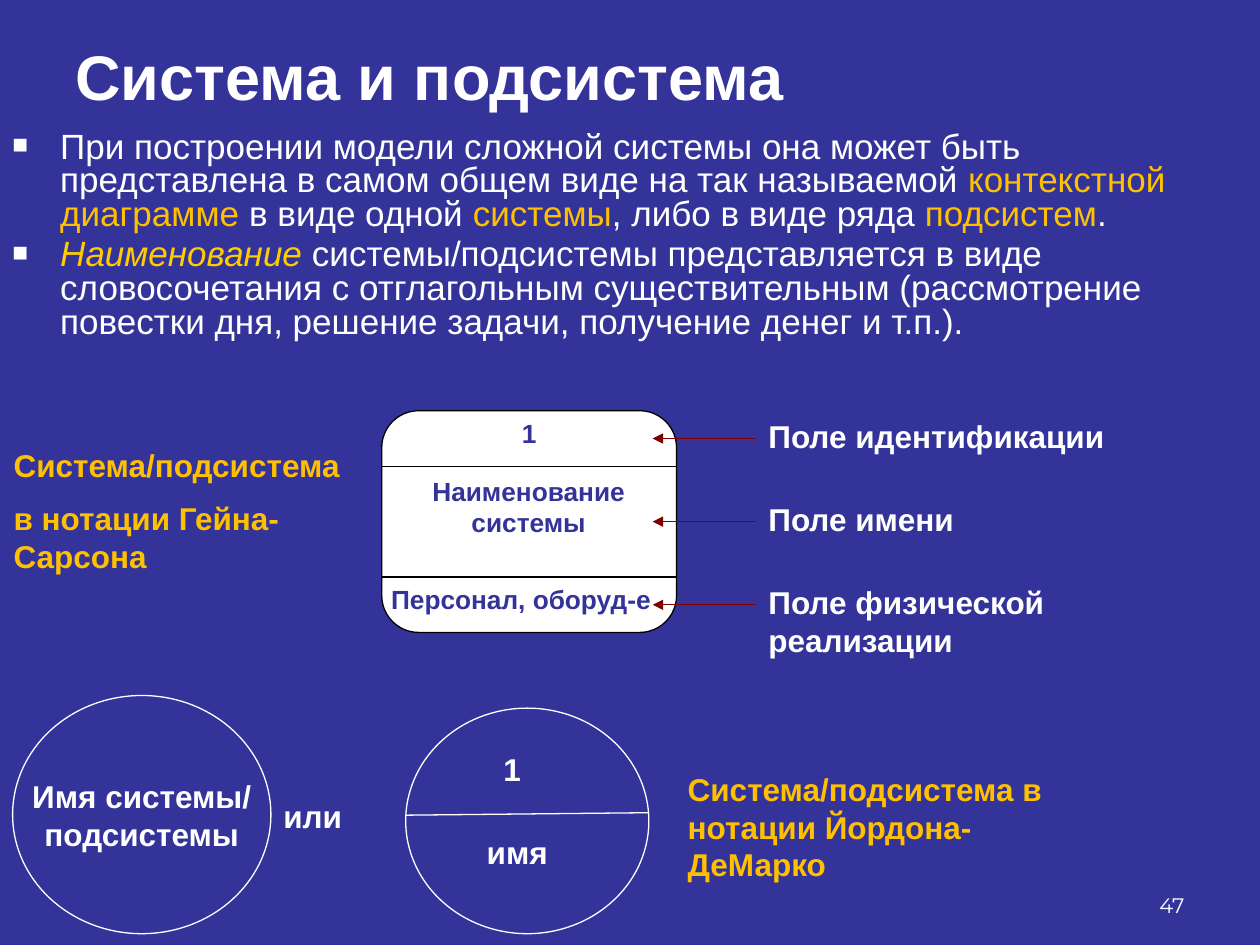
from lxml import etree
from pptx import Presentation
from pptx.dml.color import RGBColor
from pptx.enum.shapes import MSO_CONNECTOR, MSO_SHAPE
from pptx.enum.text import MSO_ANCHOR, PP_ALIGN
from pptx.oxml.ns import qn
from pptx.util import Inches, Pt

LEFT, CENTER, RIGHT = PP_ALIGN.LEFT, PP_ALIGN.CENTER, PP_ALIGN.RIGHT
TOP, MIDDLE, BOTTOM = MSO_ANCHOR.TOP, MSO_ANCHOR.MIDDLE, MSO_ANCHOR.BOTTOM
STRAIGHT = MSO_CONNECTOR.STRAIGHT
RECTANGLE, OVAL = MSO_SHAPE.RECTANGLE, MSO_SHAPE.OVAL
ROUNDED = MSO_SHAPE.FLOWCHART_ALTERNATE_PROCESS

COLORS = {
    "blue": "333399", "white": "FFFFFF", "black": "000000",
    "amber": "FFC000", "yellow": "FFCC00", "maroon": "800000",
}

# Content
TITLE = "Система и подсистема"
BULLETS = [
    [("При построении модели сложной системы она может быть представлена "
      "в самом общем виде на так называемой ", "white"),
     ("контекстной диаграмме ", "amber"), ("в виде одной ", "white"),
     ("системы", "amber"), (", либо в виде ряда ", "white"),
     ("подсистем", "amber"), (".", "white")],
    [("Наименование", "yellow"),
     (" системы/подсистемы представляется в виде словосочетания с отглагольным "
      "существительным (рассмотрение повестки дня, решение задачи, "
      "получение денег и т.п.).", "white")],
]
FIELDS = [("Поле идентификации", 3.19), ("Поле имени", 3.18),
          ("Поле физической реализации", 3.82)]
GANE_SARSON = ["Система/подсистема", "в нотации Гейна-Сарсона"]
CIRCLE_NAME = ["Имя системы/", "подсистемы"]
YOURDON_LABELS = [  # text, box, colour, alignment
    ("1", (3.84, 5.9, 0.45, 0.4), "white", CENTER),
    ("имя", (3.66, 6.56, 0.89, 0.4), "white", CENTER),
    ("или", (2.15, 6.28, 0.89, 0.4), "white", LEFT),
    ("Система/подсистема в нотации Йордона-ДеМарко",
     (5.36, 6.06, 3.06, 1.01), "amber", LEFT),
]

presentation = Presentation()
presentation.slide_width, presentation.slide_height = Inches(10), Inches(7.5)
slide = presentation.slides.add_slide(presentation.slide_layouts[6])


def rgb(color):
    return RGBColor.from_string(COLORS[color])


def write(shape, lines, color, size=18, align=LEFT, anchor=TOP, wrap=True,
          font="Arial", bold=True, gap=0):
    frame = shape.text_frame
    frame.word_wrap = wrap
    frame.vertical_anchor = anchor
    frame.text = "\n".join(lines)
    for index, paragraph in enumerate(frame.paragraphs):
        paragraph.alignment = align
        if index:
            paragraph.space_before = Pt(gap)
        for run in paragraph.runs:
            run.font.name, run.font.size, run.font.bold = font, Pt(size), bold
            run.font.color.rgb = rgb(color)


def add_text(box, lines, color, **style):
    shape = slide.shapes.add_textbox(*map(Inches, box))
    write(shape, lines, color, **style)
    return shape


def add_figure(kind, box, fill=None, line=None):
    shape = slide.shapes.add_shape(kind, *map(Inches, box))
    shape.shadow.inherit = False
    if fill:
        shape.fill.solid()
        shape.fill.fore_color.rgb = rgb(fill)
    else:
        shape.fill.background()
    if line:
        shape.line.color.rgb = rgb(line)
        shape.line.width = Pt(0.75)
    else:
        shape.line.fill.background()
    return shape


def add_line(x1, y1, x2, y2, color):
    line = slide.shapes.add_connector(STRAIGHT, *map(Inches, (x1, y1, x2, y2)))
    line.line.color.rgb = rgb(color)
    line.line.width = Pt(0.75)
    etree.SubElement(line._element.spPr, qn("a:effectLst"))
    return line


def add_bullet(paragraph):
    properties = paragraph._p.get_or_add_pPr()
    properties.set("marL", str(Inches(0.38)))
    properties.set("indent", str(-Inches(0.38)))
    color = etree.SubElement(properties, qn("a:buClr"))
    etree.SubElement(color, qn("a:srgbClr"), val=COLORS["white"])
    etree.SubElement(properties, qn("a:buSzPct"), val="75000")
    etree.SubElement(properties, qn("a:buFont"), typeface="Arial")
    etree.SubElement(properties, qn("a:buChar"), char="■")


# Background and title
slide.background.fill.solid()
slide.background.fill.fore_color.rgb = rgb("blue")
add_text((0.5, 0.27, 9, 0.65), [TITLE], "white", size=36, anchor=MIDDLE)

# Bulleted text
body = slide.shapes.add_textbox(*map(Inches, (0, 1, 10, 1.81))).text_frame
body.word_wrap = True
for index, parts in enumerate(BULLETS):
    paragraph = body.add_paragraph() if index else body.paragraphs[0]
    add_bullet(paragraph)
    paragraph.line_spacing = 0.8
    if index:
        paragraph.space_before = Pt(4)
    for text, color in parts:
        run = paragraph.add_run()
        run.text = text
        run.font.name, run.font.size = "Arial", Pt(20)
        run.font.color.rgb = rgb(color)
        run.font.italic = color == "yellow"

# Gane-Sarson block: header and footer rows, name between them
block_left, block_top, block_width, row = 3.03, 3.26, 2.34, 0.44
block_right = block_left + block_width
footer_top = block_top + 3 * row
add_figure(ROUNDED, (block_left, block_top, block_width, 4 * row), "white", "black")
for y in (block_top + row, footer_top):
    add_line(block_left, y, block_right, y, "black")
name_box = add_figure(RECTANGLE, (3.24, 3.72, 1.91, 0.66), "white")
write(name_box, ["Наименование системы"], "blue", size=15, align=CENTER)
add_text((3.88, block_top, 0.64, row), ["1"], "blue", size=15, align=CENTER)
add_text((2.91, footer_top, 2.45, row), ["Персонал, оборуд-е"], "blue",
         size=15, align=CENTER)
add_text((0.01, 3.49, 3.34, 1.16), GANE_SARSON, "amber", gap=9)

# Field labels with arrows into the block
for index, (text, width) in enumerate(FIELDS):
    y = block_top + index * 1.5 * row
    label = add_text((6, y, width, row), [text], "white")
    arrow = add_line(5.18, y + row / 2, 6, y + row / 2, "maroon")
    arrow.end_connect(label, 1)
    etree.SubElement(arrow.line._get_or_add_ln(), qn("a:headEnd"), type="triangle")

# Yourdon-DeMarco circles
named_circle = add_figure(OVAL, (0.1, 5.52, 2.05, 1.89), line="white")
write(named_circle, CIRCLE_NAME, "white", align=CENTER, anchor=MIDDLE, wrap=False)
add_figure(OVAL, (3.22, 5.62, 1.93, 1.79), line="white")
add_line(3.22, 6.47, 5.15, 6.45, "white")
for text, box, color, align in YOURDON_LABELS:
    add_text(box, [text], color, align=align)

# Slide number
add_text((7.17, 6.83, 2.33, 0.5), ["47"], "white", size=12, align=RIGHT,
         anchor=BOTTOM, font="Montserrat", bold=False)

presentation.save("out.pptx")
